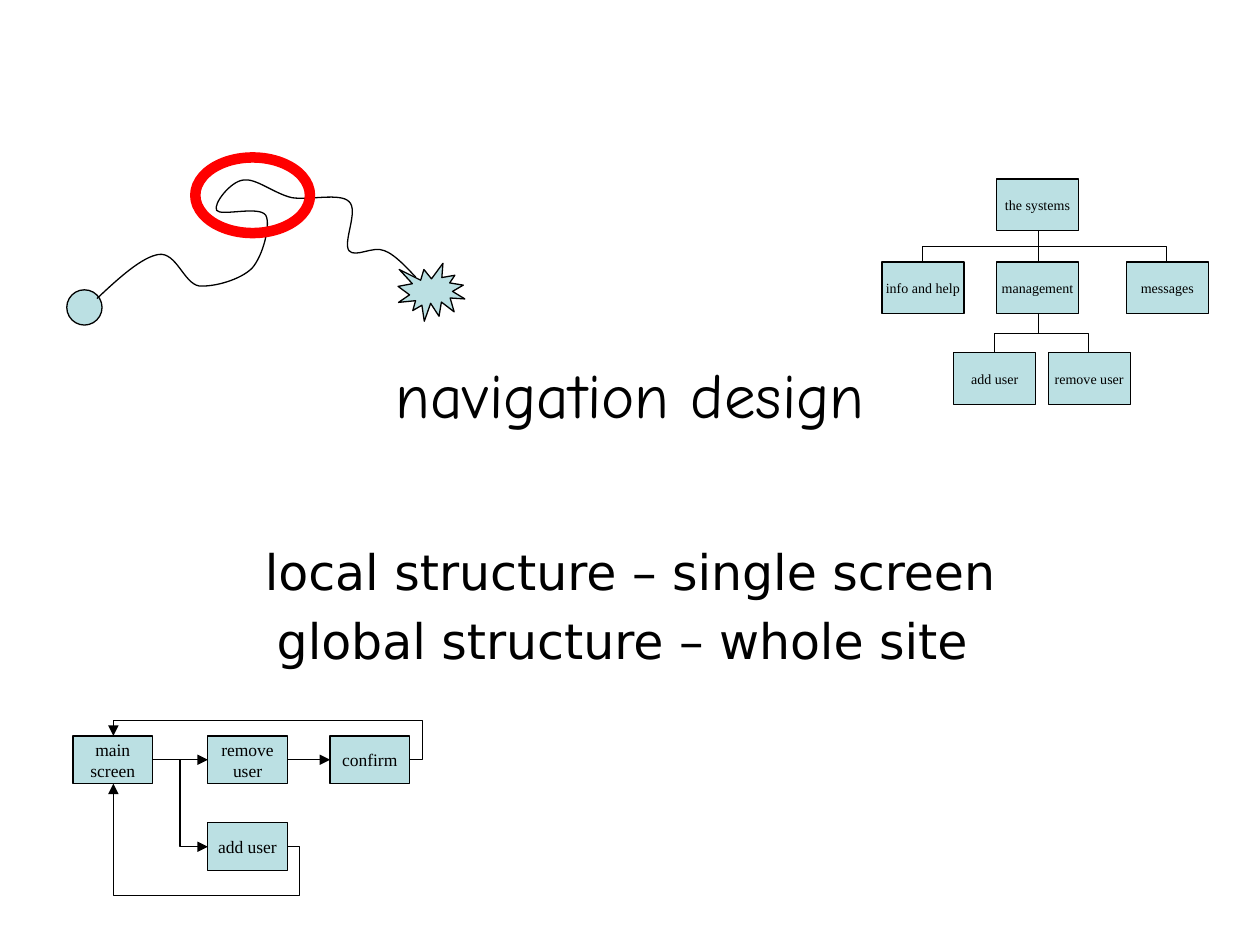
from lxml.etree import SubElement
from pptx import Presentation
from pptx.dml.color import RGBColor
from pptx.enum.shapes import MSO_CONNECTOR, MSO_SHAPE
from pptx.enum.text import MSO_ANCHOR, PP_ALIGN
from pptx.oxml.ns import qn
from pptx.util import Pt

PX = 9144  # EMU per px, 100 px to the inch
COLORS = {"ink": "000000", "node": "BBE0E3", "highlight": "FF0000"}
FONTS = {"title": "Comic Neue", "body": "DejaVu Sans", "label": "Times New Roman"}


def rgb(name):
    return RGBColor.from_string(COLORS[name])


class SlideBuilder:
    def __init__(self, slide):
        self.s = slide
        self.shapes = slide.shapes

    def group(self):
        """Send the following elements into a new group."""
        self.shapes = self.s.shapes.add_group_shape().shapes

    def text(self, tf, lines, font, size, gap=0):
        for i, line in enumerate(lines):
            p = tf.paragraphs[0] if i == 0 else tf.add_paragraph()
            p.alignment = PP_ALIGN.CENTER
            p.space_before = Pt(gap if i else 0)
            r = p.add_run()
            r.text = line
            r.font.name = FONTS[font]
            r.font.size = Pt(size)
            r.font.color.rgb = rgb("ink")

    def placeholder(self, index, box, lines, font, size, gap=0):
        sp = self.s.placeholders[index]
        sp.left, sp.top, sp.width, sp.height = (v * PX for v in box)
        self.text(sp.text_frame, lines, font, size, gap)

    def line_style(self, sp, color="ink", width=0.75):
        sp.line.color.rgb = rgb(color)
        sp.line.width = Pt(width)

    def shape(self, kind, x, y, w, h, fill="node", line="ink", width=0.75):
        sp = self.shapes.add_shape(kind, x * PX, y * PX, w * PX, h * PX)
        sp.shadow.inherit = False
        if fill:
            sp.fill.solid()
            sp.fill.fore_color.rgb = rgb(fill)
        else:
            sp.fill.background()
        self.line_style(sp, line, width)
        return sp

    def node(self, x, y, w, h, label, size):
        sp = self.shape(MSO_SHAPE.FLOWCHART_PROCESS, x, y, w, h)
        tf = sp.text_frame
        tf.word_wrap = False
        tf.vertical_anchor = MSO_ANCHOR.MIDDLE
        self.text(tf, label.split("\n"), "label", size)

    def curve(self, start, points):
        """Draw a path of cubic Bézier segments, three points to a segment."""
        fb = self.shapes.build_freeform(*start, scale=PX)
        fb.add_line_segments(points, close=False)
        sp = fb.convert_to_shape()
        path = next(sp._element.iter(qn("a:path")))
        steps = path.findall(qn("a:lnTo"))
        for i in range(0, len(steps), 3):
            bezier = SubElement(path, qn("a:cubicBezTo"))
            for step in steps[i:i + 3]:
                bezier.append(step[0])
                path.remove(step)
        sp.shadow.inherit = False
        sp.fill.background()
        self.line_style(sp)

    def connector(self, x1, y1, x2, y2, kind=MSO_CONNECTOR.ELBOW, arrow=False):
        c = self.shapes.add_connector(kind, *(round(v * PX) for v in (x1, y1, x2, y2)))
        self.line_style(c)
        if arrow:
            SubElement(c.line._get_or_add_ln(), qn("a:tailEnd"), type="triangle")
        SubElement(c._element.spPr, qn("a:effectLst"))
        return c

    def straight(self, x1, y1, x2, y2, arrow=False):
        self.connector(x1, y1, x2, y2, MSO_CONNECTOR.STRAIGHT, arrow)

    def branch(self, x1, y1, x2, y2):
        """Connect parent to child by a down-across-down elbow."""
        cx, cy = (x1 + x2) / 2, (y1 + y2) / 2
        w, h = y2 - y1, abs(x2 - x1)
        side = 1 if x2 < x1 else -1
        c = self.connector(cx - side * w / 2, cy - h / 2, cx + side * w / 2, cy + h / 2)
        c._element.spPr.find(qn("a:xfrm")).set("rot", str((90 if side > 0 else 270) * 60000))

    def loop_back(self, x1, y1, x2, y2, turn_x, turn_y):
        """Connect back to an earlier node by way of the turn at turn_x, turn_y."""
        c = self.connector(x1, y1, x2, y2, arrow=True)
        geom = c._element.spPr.find(qn("a:prstGeom"))
        geom.set("prst", "bentConnector4")
        guides = geom.find(qn("a:avLst"))
        if guides is None:
            guides = SubElement(geom, qn("a:avLst"))
        ratios = (turn_x - x1) / (x2 - x1), (turn_y - y1) / (y2 - y1)
        for i, ratio in enumerate(ratios, 1):
            SubElement(guides, qn("a:gd"), name=f"adj{i}", fmla=f"val {round(ratio * 100000)}")


def draw_journey(b):
    b.group()
    b.shape(MSO_SHAPE.EXPLOSION1, 316, 209, 53, 46)
    b.shape(MSO_SHAPE.FLOWCHART_CONNECTOR, 53, 230, 28, 28)
    b.curve((77, 237), [
        (95, 220), (113, 204), (126, 202), (140, 200), (146, 225), (158, 227),
        (170, 228), (191, 222), (200, 213), (209, 203), (215, 178), (211, 171),
        (206, 163), (175, 172), (172, 167), (169, 162), (183, 144), (193, 143),
        (203, 141), (218, 154), (232, 157), (246, 159), (270, 153), (277, 160),
        (285, 167), (272, 192), (277, 199), (282, 205), (296, 195), (305, 199),
        (314, 202), (326, 216), (330, 220)])
    b.shape(MSO_SHAPE.OVAL, 155, 125, 91, 60, fill=None, line="highlight", width=6)


def draw_hierarchy(b):
    b.group()
    w, h = 65, 41
    rows = [(142, [(791, "the systems")]),
            (208, [(700, "info and help"), (791, "management"), (894, "messages")]),
            (280, [(757, "add user"), (832, "remove user")])]
    for y, nodes in rows:
        for x, label in nodes:
            b.node(x, y, w, h, label, 8)
    trunk = 824
    for (y, _), (child_y, children) in zip(rows, rows[1:]):
        for x, label in children:
            if label == "management":
                b.straight(trunk, y + h, trunk, child_y)
            else:
                b.branch(trunk, y + h, x + w // 2, child_y)


def draw_flow(b):
    b.group()
    w, h = 63, 38
    main, remove, confirm = 58, 165, 262
    top, low = 584, 653
    for x, y, label in [(main, top, "main\nscreen"), (remove, top, "remove\nuser"),
                        (confirm, top, "confirm"), (remove, low, "add user")]:
        b.node(x, y, w, h, label, 10)
    mid, low_mid = top + h // 2, low + h // 2
    home = main + w // 2 + 1
    b.straight(main + w, mid, remove, mid, arrow=True)
    b.connector(main + w, mid, remove, low_mid, arrow=True)
    b.straight(remove + w, mid, confirm, mid, arrow=True)
    b.loop_back(confirm + w, mid, home, top, 335, 572)
    b.loop_back(remove + w, low_mid, home, top + h, 238, 711)


def main():
    prs = Presentation()
    prs.slide_width, prs.slide_height = 1000 * PX, 750 * PX
    b = SlideBuilder(prs.slides.add_slide(prs.slide_layouts[0]))
    b.placeholder(0, (75, 250, 850, 125), ["navigation design"], "title", 36)
    b.placeholder(1, (150, 425, 700, 192),
                  ["local structure – single screen", "global structure – whole site "],
                  "body", 28, gap=5.6)
    draw_journey(b)
    draw_hierarchy(b)
    draw_flow(b)
    prs.save("out.pptx")


if __name__ == "__main__":
    main()
